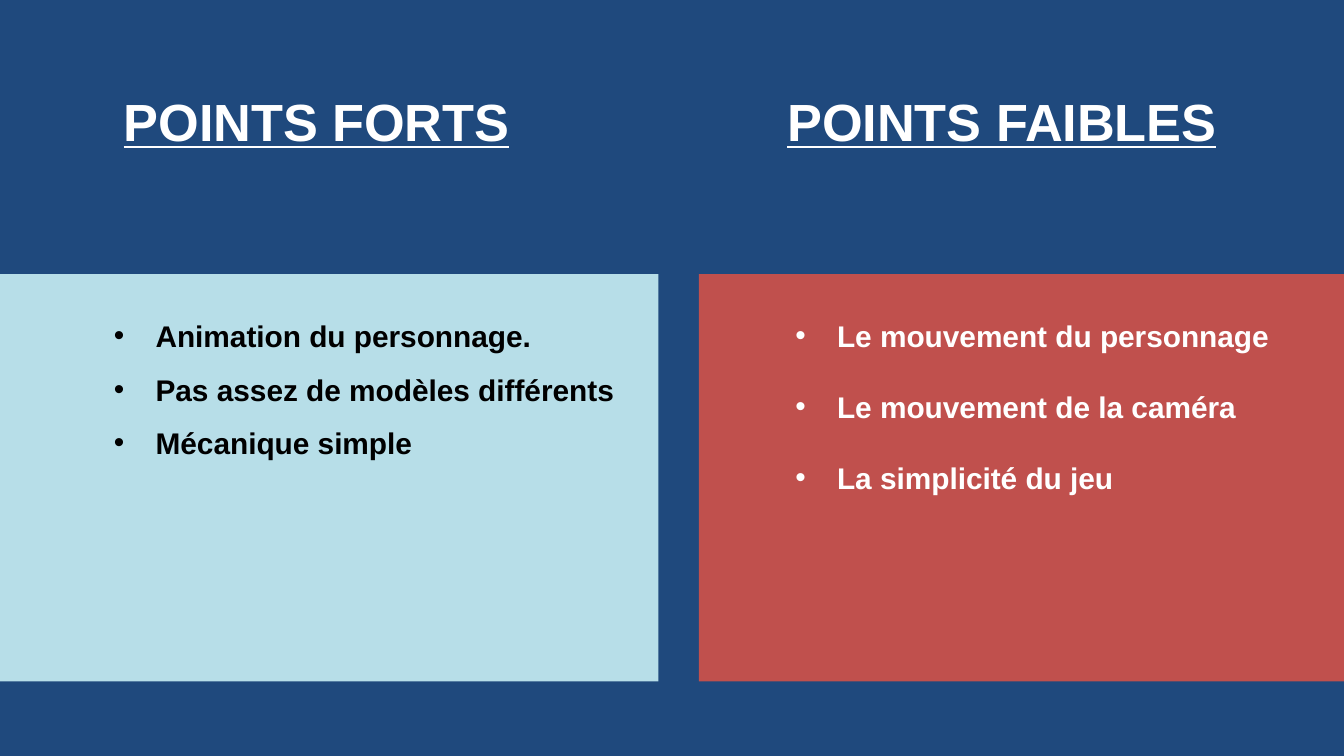
from pptx import Presentation
from pptx.dml.color import RGBColor as Rgb
from pptx.enum.shapes import MSO_SHAPE as Shape
from pptx.enum.text import PP_ALIGN as Align
from pptx.oxml.xmlchemy import OxmlElement as Element
from pptx.util import Inches, Pt

WHITE = "FFFFFF"
INDENT = 0.31


def color(code):
    """Turn a hex string into a colour."""
    return Rgb.from_string(code)


def add_panel(slide, box, fill):
    """Draw a plain filled rectangle."""
    panel = slide.shapes.add_shape(Shape.RECTANGLE, *map(Inches, box))
    panel.shadow.inherit = False
    panel.fill.solid()
    panel.fill.fore_color.rgb = color(fill)
    panel.line.fill.background()


def add_text(slide, box, lines, size, ink, spaced=True):
    """Add bold Arial paragraphs and return them."""
    frame = slide.shapes.add_textbox(*map(Inches, box)).text_frame
    frame.word_wrap = True
    if not spaced:
        frame.margin_right = 0
    frame.text = "\n".join(lines)
    for para in frame.paragraphs:
        para.line_spacing = 1.5
        if spaced:
            para.space_before = Pt(size * 0.2)
            para.space_after = Pt(6)
        for run in para.runs:
            font = run.font
            font.name, font.size, font.bold = "Arial", Pt(size), True
            font.color.rgb = color(ink)
    return frame.paragraphs


def add_title(slide, left, title):
    """Add a centred, underlined column heading."""
    for para in add_text(slide, (left, 0.38, 3.61, 0.71), [title], 28, WHITE):
        para.alignment = Align.CENTER
        para.runs[0].font.underline = True


def add_list(slide, box, items, ink, spaced):
    """Add a bulleted list with a hanging indent."""
    for para in add_text(slide, box, items, 16, ink, spaced):
        props = para._p.get_or_add_pPr()
        props.set("marL", str(Inches(INDENT)))
        props.set("indent", str(Inches(-INDENT)))
        face = Element("a:buFont")
        face.set("typeface", "Arial")
        mark = Element("a:buChar")
        mark.set("char", "•")
        props.extend([face, mark])


def main():
    """Build the slide of strong and weak points."""
    deck = Presentation()
    deck.slide_width = Inches(10)
    deck.slide_height = deck.slide_width * 9 // 16
    slide = deck.slides.add_slide(deck.slide_layouts[6])

    add_panel(slide, (-0.16, -0.15, 10.31, 5.93), "1F497D")

    add_title(slide, 0.55, "POINTS FORTS")
    add_panel(slide, (0, 2.04, 4.9, 3.03), "B7DEE8")
    strong = ["Animation du personnage.", "Pas assez de modèles différents",
              "Mécanique simple"]
    add_list(slide, (0.75, 2.18, 3.93, 2.12), strong, "000000", False)

    add_panel(slide, (5.2, 2.04, 4.8, 3.03), "C0504D")
    weak = ["Le mouvement du personnage", "Le mouvement de la caméra",
            "La simplicité du jeu"]
    add_list(slide, (5.82, 2.18, 3.88, 2.53), weak, WHITE, True)
    add_title(slide, 5.65, "POINTS FAIBLES")

    deck.save("out.pptx")


main()
